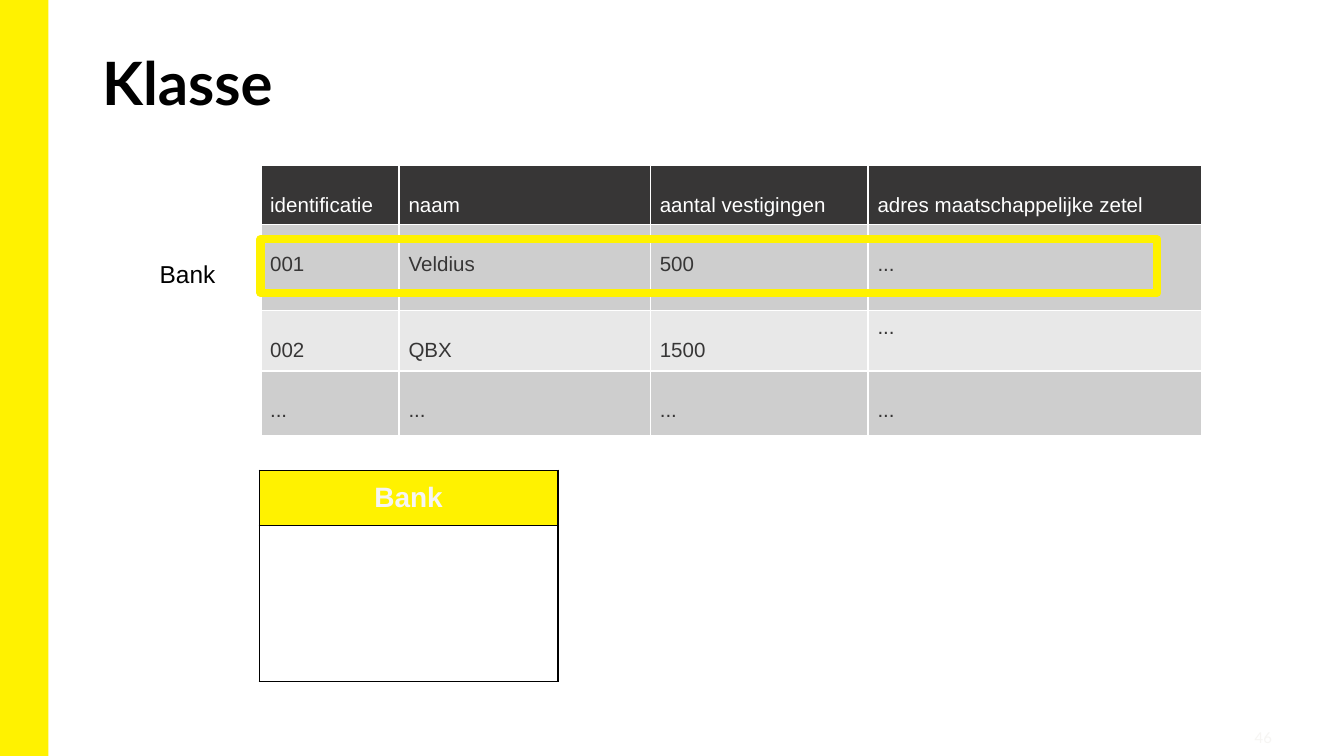
import pptx
import pptx.util
import pptx.dml.color
import pptx.enum.shapes
import pptx.enum.text
import pptx.oxml.ns
from lxml import etree

Inches, Pt = pptx.util.Inches, pptx.util.Pt
ALIGN, ANCHOR = pptx.enum.text.PP_ALIGN, pptx.enum.text.MSO_ANCHOR
RECTANGLE = pptx.enum.shapes.MSO_SHAPE.RECTANGLE

SLIDE_WIDTH = 10
SLIDE_HEIGHT = SLIDE_WIDTH * 9 / 16
YELLOW, DARK, WHITE, BLACK, PALE = "FFF200", "373636", "FFFFFF", "000000", "F6F5F3"
BANDS = ["CECECE", "E8E8E8"]

BANK_ROWS = [
    ["identificatie", "naam", "aantal vestigingen", "adres maatschappelijke zetel"],
    ["001", "Veldius", "500", "..."],
    ["002", "QBX", "1500", "..."],
    ["...", "...", "...", "..."],
]
BANK_COLUMNS = [1.03, 1.87, 1.62, 2.48]
BANK_HEIGHTS = [0.44, 0.64, 0.45, 0.48]
LOW_TEXT, HIGH_TEXT = 0.21, 0.04
RAISED_CELL = (2, 3)


def rgb(color):
    return pptx.dml.color.RGBColor.from_string(color)


def write(frame, text, size, color, font="Arial", bold=False, align=ALIGN.LEFT):
    frame.word_wrap = True
    paragraph = frame.paragraphs[0]
    paragraph.alignment = align
    run = paragraph.add_run()
    run.text = text
    run.font.size, run.font.name, run.font.bold = Pt(size), font, bold
    run.font.color.rgb = rgb(color)


def set_margins(box, side, top, bottom):
    box.margin_left = box.margin_right = Inches(side)
    box.margin_top, box.margin_bottom = Inches(top), Inches(bottom)


def add_label(slide, place, text, size, color, **style):
    frame = slide.shapes.add_textbox(*map(Inches, place)).text_frame
    set_margins(frame, 0.07, 0.04, 0.04)
    write(frame, text, size, color, **style)


def add_box(slide, place, fill=None, line=None, width=0):
    box = slide.shapes.add_shape(RECTANGLE, *map(Inches, place))
    box.shadow.inherit = False
    if fill:
        box.fill.solid()
        box.fill.fore_color.rgb = rgb(fill)
    else:
        box.fill.background()
    if line:
        box.line.color.rgb = rgb(line)
        box.line.width = Pt(width)
    else:
        box.line.fill.background()


def add_grid(slide, left, top, columns, heights):
    table = slide.shapes.add_table(
        len(heights), len(columns), Inches(left), Inches(top),
        Inches(sum(columns)), Inches(sum(heights))).table
    table.first_row = table.horz_banding = False
    for column, width in zip(table.columns, columns):
        column.width = Inches(width)
    for row, height in zip(table.rows, heights):
        row.height = Inches(height)
    return table


def style_cell(cell, fill, border):
    """Set the borders first, since the fill must follow them in the XML."""
    properties = cell._tc.get_or_add_tcPr()
    qn = pptx.oxml.ns.qn
    for side in "LRTB":
        line = etree.SubElement(properties, qn(f"a:ln{side}"), w=str(Pt(1)))
        solid = etree.SubElement(line, qn("a:solidFill"))
        etree.SubElement(solid, qn("a:srgbClr"), val=border)
    if fill:
        cell.fill.solid()
        cell.fill.fore_color.rgb = rgb(fill)
    else:
        cell.fill.background()


def add_bank_table(slide):
    table = add_grid(slide, 1.94, 1.23, BANK_COLUMNS, BANK_HEIGHTS)
    for r, row in enumerate(BANK_ROWS):
        header = r == 0
        for c, text in enumerate(row):
            cell = table.cell(r, c)
            style_cell(cell, DARK if header else BANDS[(r - 1) % 2], WHITE)
            set_margins(cell, 0.07, HIGH_TEXT if (r, c) == RAISED_CELL else LOW_TEXT, 0.04)
            write(cell.text_frame, text, 11, WHITE if header else DARK)


def add_class_table(slide):
    table = add_grid(slide, 1.93, 3.5, [2.22], [0.41, 1.16])
    name, members = table.cell(0, 0), table.cell(1, 0)
    style_cell(name, YELLOW, BLACK)
    style_cell(members, None, BLACK)
    set_margins(name, 0.08, 0.08, 0.08)
    name.vertical_anchor = ANCHOR.MIDDLE
    write(name.text_frame, "Bank", 15, PALE, bold=True, align=ALIGN.CENTER)


def main():
    deck = pptx.Presentation()
    deck.slide_width, deck.slide_height = Inches(SLIDE_WIDTH), Inches(SLIDE_HEIGHT)
    slide = deck.slides.add_slide(deck.slide_layouts[5])

    add_box(slide, (0, 0, 0.36, SLIDE_HEIGHT), fill=YELLOW)

    title = slide.shapes.title
    title.left, title.top = Inches(0.69), Inches(0.3)
    title.width, title.height = Inches(8.62), Inches(0.8)
    set_margins(title.text_frame, 0.07, 0.04, 0.04)
    title.text_frame.vertical_anchor = ANCHOR.TOP
    write(title.text_frame, "Klasse", 32, BLACK, font="Lato", bold=True)

    add_bank_table(slide)
    add_box(slide, (1.94, 1.78, 6.67, 0.4), line=YELLOW, width=4.5)
    add_label(slide, (1.02, 1.89, 0.75, 0.3), "Bank", 13.1, BLACK, align=ALIGN.CENTER)
    add_class_table(slide)
    add_label(slide, (9.2, 5.38, 0.4, 0.22), "46", 8, PALE, font="Lato", align=ALIGN.CENTER)

    deck.save("out.pptx")


if __name__ == "__main__":
    main()
